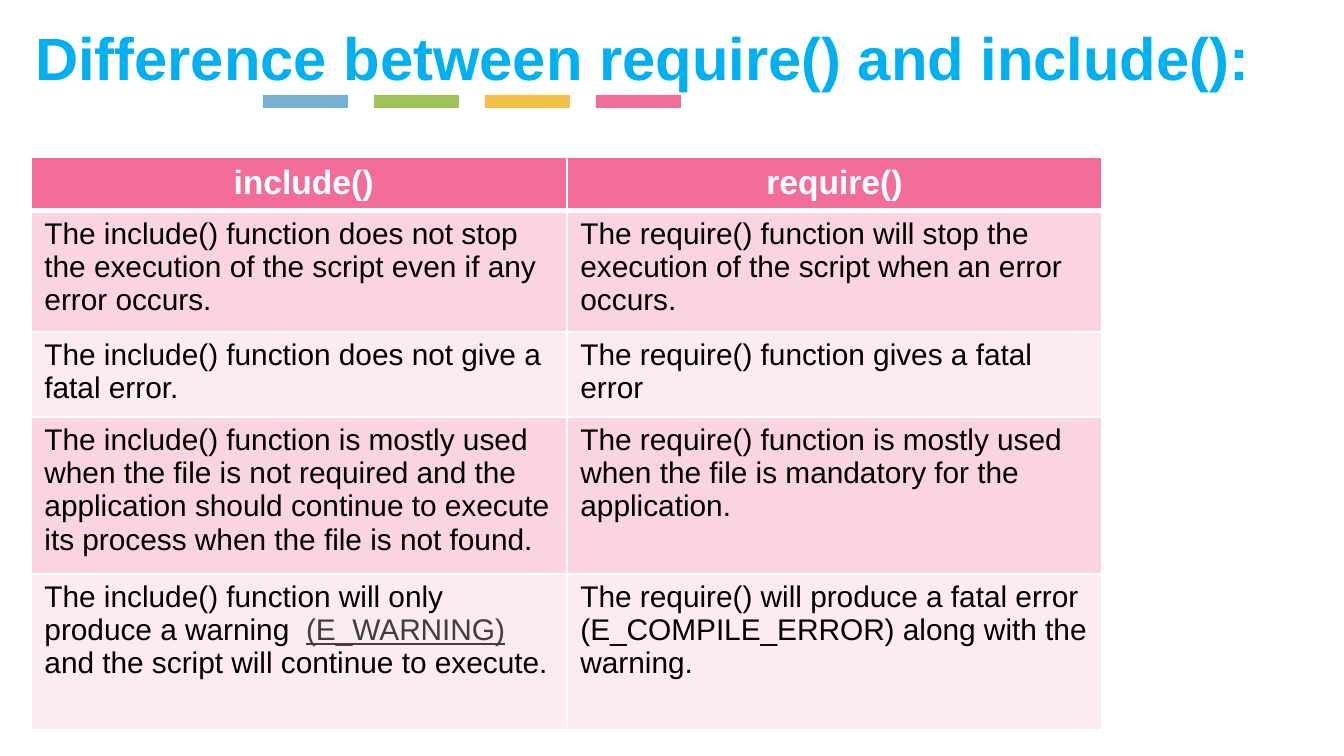
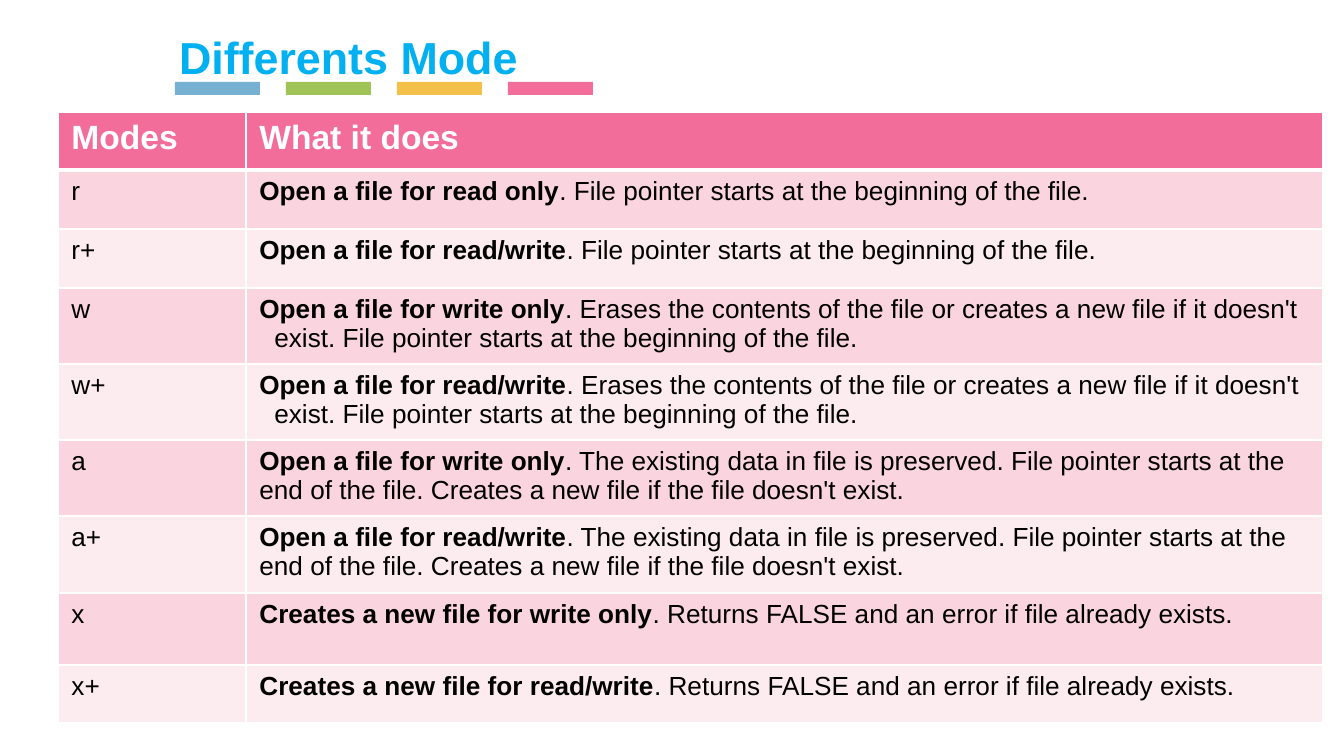
from lxml.etree import SubElement
from pptx import Presentation
from pptx.dml.color import RGBColor
from pptx.enum.shapes import MSO_SHAPE as Shape
from pptx.enum.text import MSO_ANCHOR as Anchor, MSO_AUTO_SIZE as AutoSize, PP_ALIGN as Align
from pptx.oxml.ns import qn
from pptx.util import Emu, Pt

PX_PER_INCH = 134.4
SLIDE_SIZE = (1344, 756)
TITLE_ONLY = 5
FONT = "Arial"

WHITE = RGBColor(0xFF, 0xFF, 0xFF)
BLACK = RGBColor(0x00, 0x00, 0x00)
GREY = RGBColor(0x3F, 0x3F, 0x3F)
CYAN = RGBColor(0x00, 0xB0, 0xF0)
BLUE = RGBColor(0x76, 0xB1, 0xD1)
GREEN = RGBColor(0xA0, 0xC3, 0x58)
YELLOW = RGBColor(0xF3, 0xC0, 0x4A)
PINK = RGBColor(0xF2, 0x6D, 0x9A)
PINK_BANDS = (RGBColor(0xFA, 0xD4, 0xDE), RGBColor(0xFC, 0xEB, 0xEF))

BAR_COLORS = (BLUE, GREEN, YELLOW, PINK)
BAR_WIDTH, BAR_HEIGHT, BAR_PITCH = 85, 13, 111
TITLE_HEIGHT = 114
TEXT_INSET = 13
HANGING = 15

INCLUDE_REQUIRE = [
    (" include()", "require()"),
    ("The include() function does not stop the execution of the script even if any "
     "error occurs.",
     "The require() function will stop the execution of the script when an error occurs."),
    ("The include() function does not give a fatal error.",
     "The require() function gives a fatal error"),
    ("The include() function is mostly used when the file is not required and the "
     "application should continue to execute its process when the file is not found.",
     "The require() function is mostly used when the file is mandatory for the application."),
    ([("The include() function will only produce a warning  ", {}),
      ("(E_WARNING)", {"underline": True, "color": GREY}),
      (" and the script will continue to execute.", {})],
     "The require() will produce a fatal error (E_COMPILE_ERROR) along with the warning."),
]

READ_ONLY = "Open a file for read only"
READ_WRITE = "Open a file for read/write"
WRITE_ONLY = "Open a file for write only"
STARTS = ". File pointer starts at the beginning of the file."
ERASES = (". Erases the contents of the file or creates a new file if it doesn't exist. "
          "File pointer starts at the beginning of the file.")
PRESERVES = (". The existing data in file is preserved. File pointer starts at the end of "
             "the file. Creates a new file if the file doesn't exist.")
RETURNS = ". Returns FALSE and an error if file already exists."
MODES = [
    ("r", READ_ONLY, STARTS),
    ("r+", READ_WRITE, STARTS),
    ("w", WRITE_ONLY, ERASES),
    ("w+", READ_WRITE, ERASES),
    ("a", WRITE_ONLY, PRESERVES),
    ("a+", READ_WRITE, PRESERVES),
    ("x", "Creates a new file for write only", RETURNS),
    ("x+", "Creates a new file for read/write", RETURNS),
]


def px(length):
    return Emu(round(length * 914400 / PX_PER_INCH))


def add_span(para, text, size, color, **formats):
    span = para.add_run()
    span.text = text
    span.font.color.rgb = color
    for name, value in {"name": FONT, "size": Pt(size), "bold": False, **formats}.items():
        setattr(span.font, name, value)


def set_title(slide, text, left, width, size, inset=TEXT_INSET):
    title = slide.shapes.title
    place = {"left": left, "top": 0, "width": width, "height": TITLE_HEIGHT}
    for name, value in place.items():
        setattr(title, name, px(value))
    frame = title.text_frame
    frame_formats = {"word_wrap": True, "auto_size": AutoSize.NONE,
                     "vertical_anchor": Anchor.MIDDLE, "margin_left": px(inset)}
    for name, value in frame_formats.items():
        setattr(frame, name, value)
    para = frame.paragraphs[0]
    para.alignment = Align.LEFT
    add_span(para, text, size, CYAN, bold=True)


def add_color_bars(slide, left, top):
    for index, color in enumerate(BAR_COLORS):
        bar = slide.shapes.add_shape(Shape.RECTANGLE, px(left + index * BAR_PITCH), px(top),
                                     px(BAR_WIDTH), px(BAR_HEIGHT))
        bar.shadow.inherit = False
        bar.fill.solid()
        bar.fill.fore_color.rgb = color
        bar.line.fill.background()


def set_borders(cell, top, bottom):
    """Draw white cell borders; top and bottom are widths in points."""
    properties = cell._tc.get_or_add_tcPr()
    for side, points in {"lnL": 1, "lnR": 1, "lnT": top, "lnB": bottom}.items():
        line = SubElement(properties, qn(f"a:{side}"), w=str(Pt(points)))
        fill = SubElement(line, qn("a:solidFill"))
        SubElement(fill, qn("a:srgbClr"), val=str(WHITE))


def fill_cell(cell, content, row, body_size, header_align):
    """Write a plain string or a list of (text, formats) spans into a cell."""
    header = row == 0
    set_borders(cell, top=3 if row == 1 else 1, bottom=3 if header else 1)
    cell.fill.solid()
    cell.fill.fore_color.rgb = PINK if header else PINK_BANDS[(row - 1) % 2]
    base = ({"size": 18, "color": WHITE, "bold": True} if header
            else {"size": body_size, "color": BLACK})
    para = cell.text_frame.paragraphs[0]
    para.alignment = header_align if header else Align.LEFT
    spans = [(content, {})] if isinstance(content, str) else content
    for text, formats in spans:
        add_span(para, text, **{**base, **formats})


def add_grid(slide, left, top, columns, heights, rows, body_size, header_align=Align.LEFT):
    frame = slide.shapes.add_table(len(heights), len(columns), px(left), px(top),
                                   px(sum(columns)), px(sum(heights)))
    table = frame.table
    for column, width in zip(table.columns, columns):
        column.width = px(width)
    for row, height in zip(table.rows, heights):
        row.height = px(height)
    for row, contents in enumerate(rows):
        for column, content in enumerate(contents):
            fill_cell(table.cell(row, column), content, row, body_size, header_align)
    return table


def hang_indent(cell):
    properties = cell.text_frame.paragraphs[0]._p.get_or_add_pPr()
    properties.set("marL", str(px(HANGING)))
    properties.set("indent", str(-px(HANGING)))


def add_difference_slide(deck):
    slide = deck.slides.add_slide(deck.slide_layouts[TITLE_ONLY])
    add_color_bars(slide, 263, 95)
    set_title(slide, "Difference between require() and include():", 22, 1386, 32)
    add_grid(slide, 31, 157, (536, 535), (54, 121, 85, 157, 156), INCLUDE_REQUIRE,
             16, Align.CENTER)


def add_modes_slide(deck):
    slide = deck.slides.add_slide(deck.slide_layouts[TITLE_ONLY])
    add_color_bars(slide, 175, 82)
    set_title(slide, "Differents Mode", 31, 1344, 24, inset=148)
    rows = [("Modes", "What it does")]
    rows += [(mode, [(action, {"bold": True}), (detail, {})]) for mode, action, detail in MODES]
    table = add_grid(slide, 58, 112, (188, 1077), (58, 59, 59, 76, 76, 76, 77, 72, 58),
                     rows, 14)
    for row, (_, _, detail) in enumerate(MODES, start=1):
        if detail == ERASES:
            hang_indent(table.cell(row, 1))


def main():
    deck = Presentation()
    deck.slide_width, deck.slide_height = map(px, SLIDE_SIZE)
    add_difference_slide(deck)
    add_modes_slide(deck)
    deck.save("out.pptx")


if __name__ == "__main__":
    main()
